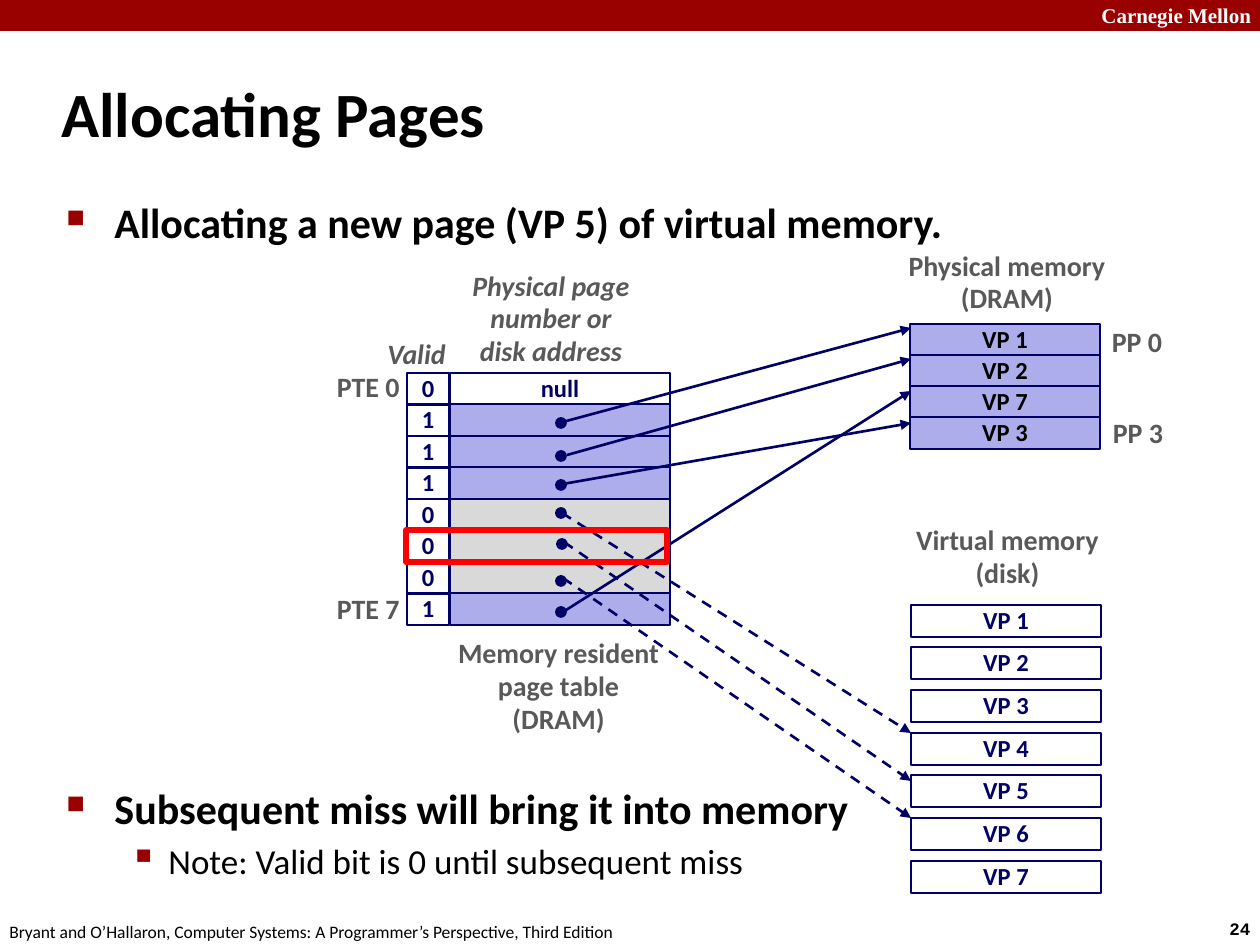
import pptx
import pptx.util
import pptx.dml.color
import pptx.enum.dml
import pptx.enum.shapes
import pptx.enum.text
import pptx.oxml.ns
import lxml.etree

Pt = pptx.util.Pt
Kind = pptx.enum.shapes.MSO_SHAPE
Align = pptx.enum.text.PP_ALIGN
Mid = pptx.enum.text.MSO_ANCHOR.MIDDLE
qn = pptx.oxml.ns.qn
PX = 914400 / 126
NAVY, LILAC, GRAY, WHITE = "000066", "ADADEB", "D9D9D9", "FFFFFF"
BLACK, SLATE, MAROON, RED = "000000", "595959", "990000", "FF0000"


def hue(code):
    return pptx.dml.color.RGBColor.from_string(code)


def write(frame, text, ink, align=Align.LEFT, lead=None, **form):
    """Fill a text frame, one paragraph for each line of text."""
    frame.text = text
    for para in frame.paragraphs:
        para.alignment = align
        if lead:
            para.line_spacing = lead
        for name, value in {"name": "Calibri", "bold": True, **form}.items():
            setattr(para.font, name, value)
        para.font.color.rgb = hue(ink)


deck = pptx.Presentation()
deck.slide_width, deck.slide_height = int(1260 * PX), int(945 * PX)
slide = deck.slides.add_slide(deck.slide_layouts[6])
shapes = slide.shapes

# Header, footer and title: place, text, colour, wrap, format
frames = [
    ((49, 60, 1046, 105), "Allocating Pages", BLACK, True, {"size": Pt(36)}),
    ((1217, 911, 57, 34), "24", BLACK, False,
     {"size": Pt(10), "name": "Courier New"}),
    ((-3, 914, 640, 34), "Bryant and O’Hallaron, Computer Systems: "
     "A Programmer’s Perspective, Third Edition", BLACK, False,
     {"size": Pt(10), "bold": False}),
]

# Boxes: place, text, fill, line colour, line width, text colour
boxes = [((0, 0, 1260, 31), "", MAROON, None, 0, WHITE)]
valid = "01110001"
fills = [WHITE] + [LILAC] * 3 + [GRAY] * 3 + [LILAC]
for i, (bit, fill) in enumerate(zip(valid, fills)):
    top = 373 + 63 * i // 2
    text = "" if i else "null"
    boxes.append(((450, top, 220, 32), text, fill, NAVY, 1.5, NAVY))
    boxes.append(((407, top, 42, 32), bit, None, NAVY, 1.5, NAVY))
for i, page in enumerate([1, 2, 7, 3]):
    place = 910, 324 + 31 * i, 190, 32
    boxes.append((place, f"VP {page}", LILAC, NAVY, 1.5, BLACK))
for i in range(7):
    place = 911, 605 + 128 * i // 3, 190, 32
    boxes.append((place, f"VP {i + 1}", WHITE, NAVY, 1.5, NAVY))
mark = (406, 530, 261, 32), "", None, RED, 3, RED

# Links: dot corner, line start, line end, dashed
links = [
    ((556, 418), (559, 423), (911, 328), False),
    ((556, 451), (567, 455), (911, 359), False),
    ((556, 480), (563, 484), (911, 423), False),
    ((556, 508), (562, 513), (911, 733), True),
    ((557, 539), (564, 542), (911, 781), True),
    ((556, 576), (563, 578), (911, 818), True),
    ((556, 607), (563, 612), (911, 391), False),
]

# Labels: place, text, alignment, italic
labels = [
    ((442, 631, 233, 112), "Memory resident\npage table\n(DRAM)", Align.CENTER, False),
    ((895, 243, 224, 79), "Physical memory\n(DRAM)", Align.CENTER, False),
    ((901, 518, 213, 79), "Virtual memory\n(disk)", Align.CENTER, False),
    ((459, 263, 184, 112), "Physical page\nnumber or\ndisk address", Align.CENTER, True),
    ((375, 331, 95, 47), "Valid", Align.LEFT, True),
    ((324, 364, 88, 47), "PTE 0", Align.RIGHT, False),
    ((324, 586, 88, 47), "PTE 7", Align.RIGHT, False),
    ((1099, 319, 76, 47), "PP 0", Align.CENTER, False),
    ((1100, 410, 76, 47), "PP 3", Align.CENTER, False),
]

# Bullets: text, level, left px, hang px, char, char %, size, bold, space before
bullets = [
    ("Allocating a new page (VP 5) of virtual memory.",
     0, 48, 48, "■", 60, 24, True, 0),
    ("Subsequent miss will bring it into memory",
     0, 48, 48, "■", 60, 24, True, 306),
    ("Note: Valid bit is 0 until subsequent miss",
     1, 102, 39, "▪", 110, 20, False, 4),
]
body = shapes.add_textbox(*[int(v * PX) for v in (54, 190, 1089, 736)]).text_frame
body.word_wrap = True
for i, (text, level, left, hang, char, part, size, bold, gap) in enumerate(bullets):
    para = body.add_paragraph() if i else body.paragraphs[0]
    para.text, para.level = text, level
    props = para._p.get_or_add_pPr()
    props.set("marL", str(int(left * PX)))
    props.set("indent", str(int(-hang * PX)))
    tint = lxml.etree.SubElement(props, qn("a:buClr"))
    lxml.etree.SubElement(tint, qn("a:srgbClr"), val=MAROON)
    lxml.etree.SubElement(props, qn("a:buSzPct"), val=str(part * 1000))
    lxml.etree.SubElement(props, qn("a:buChar"), char=char)
    para.space_before = Pt(gap)
    for name, value in {"name": "Calibri", "size": Pt(size), "bold": bold}.items():
        setattr(para.font, name, value)
    para.font.color.rgb = hue(BLACK)

for place, text, fill, edge, width, ink in boxes + [mark]:
    if edge == RED:
        # Links and labels lie below the red mark
        for place_l, words, align, slant in labels:
            frame = shapes.add_textbox(*[int(v * PX) for v in place_l]).text_frame
            frame.word_wrap, frame.vertical_anchor = False, Mid
            write(frame, words, SLATE, align, 0.98, size=Pt(16), italic=slant)
        for dot, start, end, dashed in links:
            line = shapes.add_connector(
                pptx.enum.shapes.MSO_CONNECTOR.STRAIGHT,
                *[int(v * PX) for v in start + end])
            line.line.color.rgb = hue(NAVY)
            line.line.width = Pt(1.5)
            if dashed:
                line.line.dash_style = pptx.enum.dml.MSO_LINE.DASH
            lxml.etree.SubElement(
                line.line._get_or_add_ln(), qn("a:tailEnd"), type="triangle")
            lxml.etree.SubElement(line._element.spPr, qn("a:effectLst"))
            boxed = shapes.add_shape(Kind.OVAL, *[int(v * PX) for v in dot + (10, 10)])
            boxed.shadow.inherit = False
            boxed.fill.solid()
            boxed.fill.fore_color.rgb = hue(NAVY)
            boxed.line.color.rgb = hue(NAVY)
            boxed.line.width = Pt(1)
    box = shapes.add_shape(Kind.RECTANGLE, *[int(v * PX) for v in place])
    box.shadow.inherit = False
    if fill:
        box.fill.solid()
        box.fill.fore_color.rgb = hue(fill)
    else:
        box.fill.background()
    if edge:
        box.line.color.rgb = hue(edge)
        box.line.width = Pt(width)
    else:
        box.line.fill.background()
    if text:
        box.text_frame.word_wrap = False
        box.text_frame.vertical_anchor = Mid
        write(box.text_frame, text, ink, Align.CENTER, 0.98, size=Pt(14))

frames.append(((1089, -4, 180, 38), "Carnegie Mellon", WHITE, True,
               {"size": Pt(12), "name": "Times New Roman"}))
for place, text, ink, wrap, form in frames:
    frame = shapes.add_textbox(*[int(v * PX) for v in place]).text_frame
    frame.word_wrap, frame.vertical_anchor = wrap, Mid
    write(frame, text, ink, **form)

deck.save("out.pptx")
